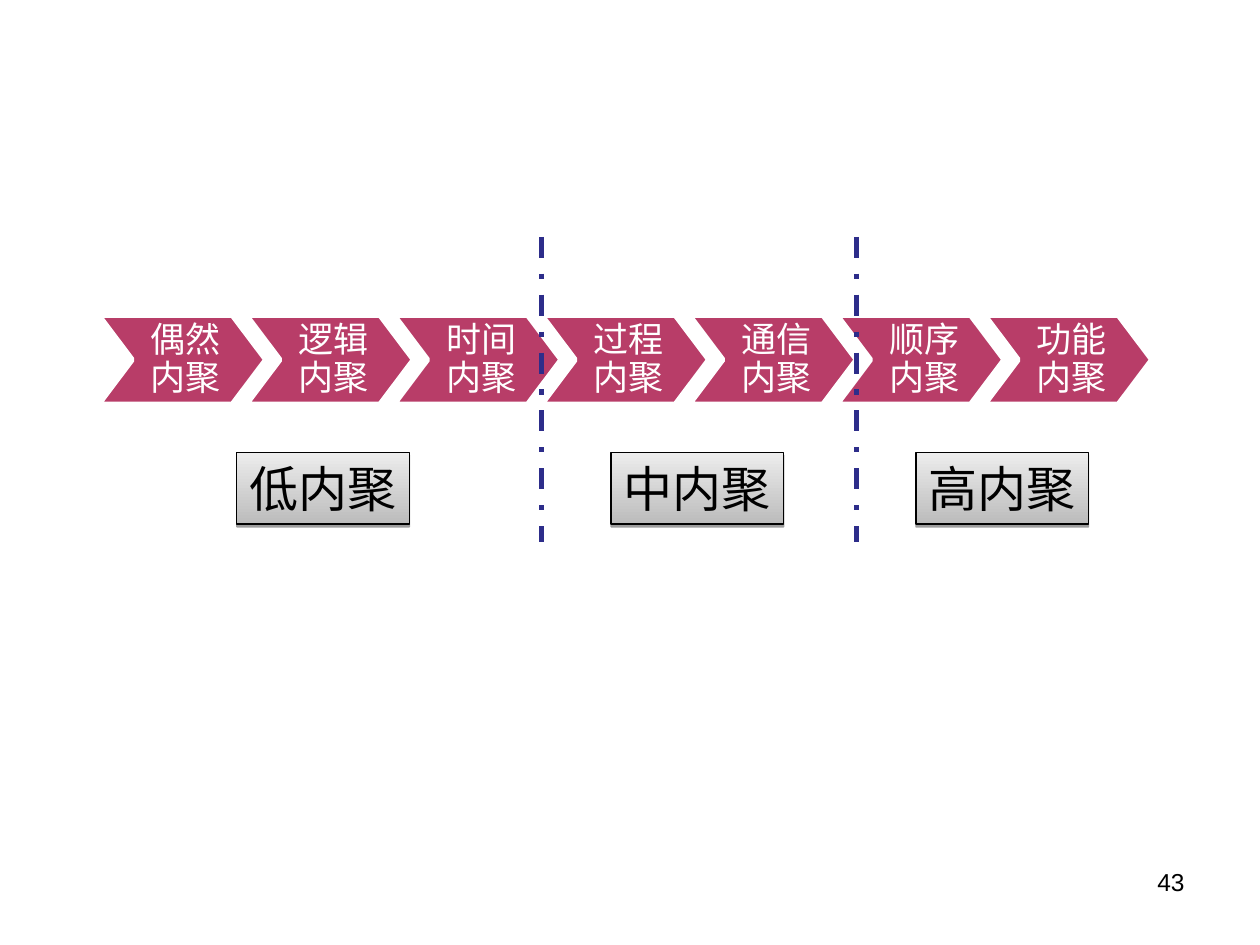
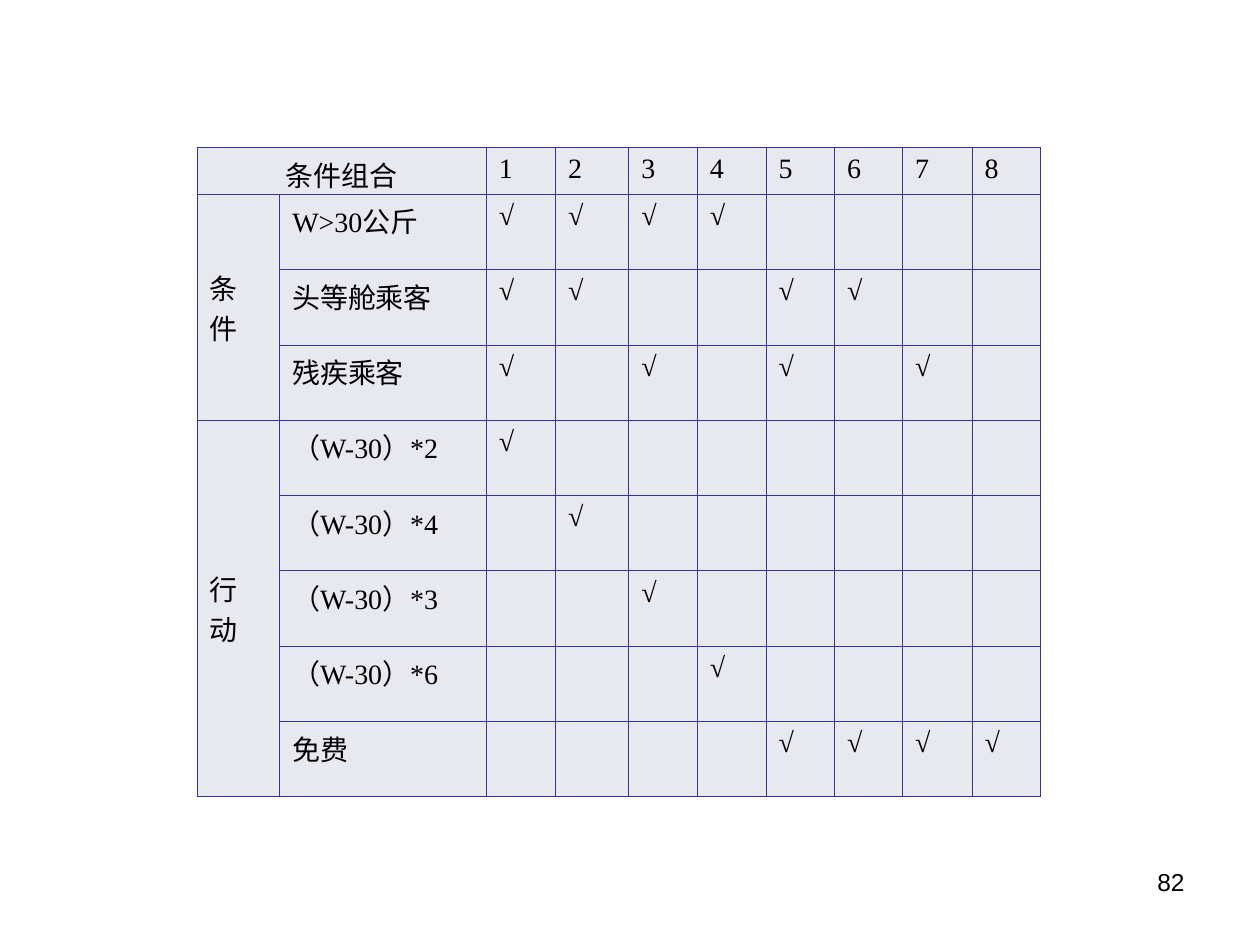
from typing import NamedTuple

from lxml.etree import SubElement as Sub
from pptx import Presentation
from pptx.dml.color import RGBColor
from pptx.enum.dml import MSO_LINE_DASH_STYLE as Dash
from pptx.enum.shapes import MSO_CONNECTOR as Link, MSO_SHAPE as Kind
from pptx.enum.text import MSO_ANCHOR as Anchor, MSO_AUTO_SIZE as Fit, PP_ALIGN as Align
from pptx.oxml.ns import qn
from pptx.util import Inches, Pt

BLACK = RGBColor(0x00, 0x00, 0x00)
WHITE = RGBColor(0xFF, 0xFF, 0xFF)
ROSE = RGBColor(0xB8, 0x3D, 0x68)
NAVY = RGBColor(0x2D, 0x2D, 0x8A)
RULE = RGBColor(0x33, 0x33, 0x99)
MIST = RGBColor(0xE8, 0xE8, 0xEF)
DARK = RGBColor(0xBC, 0xBC, 0xBC)
PALE = RGBColor(0xED, 0xED, 0xED)

SANS, SERIF, KARLA = "Arial", "Times New Roman", "Karla"
COLS, ROWS = 100, 75
UNIT = Inches(0.1)


class Box(NamedTuple):
    """Left, top, width and height in grid units."""
    x: float
    y: float
    w: float
    h: float

    def emu(self) -> list[int]:
        return [grid(v) for v in self]


class Type(NamedTuple):
    font: str
    size: int
    color: RGBColor = BLACK


class Level(NamedTuple):
    text: str
    x: float


class Rule(NamedTuple):
    """A row of the decision table and the combinations it is ticked for."""
    name: str
    ticks: str


PAGE = Type(SANS, 14)
STEP = Type(KARLA, 20, WHITE)
LABEL = Type(SERIF, 28)
CELL = Type(SERIF, 16)

STEPS = ["偶然", "逻辑", "时间", "过程", "通信", "顺序", "功能"]
FIRST = Box(7.81, 25, 13.3, 7.1)
PITCH, TIP = 11.72, 2.67
LEVELS = [Level("低内聚", 18.8), Level("中内聚", 48.5), Level("高内聚", 72.7)]
SPLITS = [43, 68]

COMBOS = "12345678"
GROUPS = {
    "条\n件": [
        Rule("W>30公斤", "1234"),
        Rule("头等舱乘客", "1256"),
        Rule("残疾乘客", "1357"),
    ],
    "行\n动": [
        Rule("（W-30）*2", "1"),
        Rule("（W-30）*4", "2"),
        Rule("（W-30）*3", "3"),
        Rule("（W-30）*6", "4"),
        Rule("免费", "5678"),
    ],
}
WIDTHS = [6.55, 16.4, 5.5, 5.8, 5.45, 5.45, 5.45, 5.4, 5.5, 5.4]
HEAD, BODY = 3.72, 5.98


def grid(n: float) -> int:
    return round(n * UNIT)


def write(frame, text: str, kind: Type, align=Align.LEFT) -> None:
    frame.text = text
    for para in frame.paragraphs:
        para.alignment = align
        for run in para.runs:
            run.font.name, run.font.size = kind.font, Pt(kind.size)
            run.font.color.rgb = kind.color


def new_slide(deck, page: int):
    slide = deck.slides.add_slide(deck.slide_layouts[6])
    box = slide.shapes.add_textbox(*Box(71.7, 68.3, 23.3, 5.2).emu())
    box.text_frame.word_wrap = True
    write(box.text_frame, str(page), PAGE, Align.RIGHT)
    return slide


def add_step(slide, n: int, name: str) -> None:
    spot = FIRST._replace(x=FIRST.x + n * PITCH)
    shape = slide.shapes.add_shape(Kind.CHEVRON, *spot.emu())
    shape.adjustments[0] = TIP / FIRST.h
    shape.shadow.inherit = False
    shape.fill.solid()
    shape.fill.fore_color.rgb = ROSE
    shape.line.color.rgb, shape.line.width = WHITE, Pt(3.15)
    frame = shape.text_frame
    frame.vertical_anchor = Anchor.MIDDLE
    frame.margin_left = Inches(0.09)
    frame.margin_right = frame.margin_top = frame.margin_bottom = Inches(0.03)
    write(frame, f"{name}\v内聚", STEP, Align.CENTER)
    para = frame.paragraphs[0]
    para.line_spacing, para.space_after = 0.9, Pt(8.8)


def add_split(slide, x: float) -> None:
    line = slide.shapes.add_connector(
        Link.STRAIGHT, grid(x), grid(18.8), grid(x), grid(43))
    line.line.color.rgb, line.line.width = NAVY, Pt(3)
    line.line.dash_style = Dash.DASH_DOT
    Sub(line._element.spPr, qn("a:effectLst"))


def drop_shadow(shape) -> None:
    shape.shadow.inherit = False
    effects = shape._element.spPr.find(qn("a:effectLst"))
    outer = Sub(effects, qn("a:outerShdw"), blurRad="0", dist=str(Pt(1.6)),
                dir="5400000", rotWithShape="0")
    color = Sub(outer, qn("a:srgbClr"), val=str(BLACK))
    Sub(color, qn("a:alpha"), val="38000")


def add_level(slide, level: Level) -> None:
    shape = slide.shapes.add_shape(Kind.RECTANGLE, *Box(level.x, 35.9, 13.7, 5.7).emu())
    shape.fill.gradient()
    shape.fill.gradient_angle = 90
    for stop, color, place in zip(shape.fill.gradient_stops, (DARK, PALE), (0, 1)):
        stop.color.rgb, stop.position = color, place
    shape.line.color.rgb, shape.line.width = BLACK, Pt(0.75)
    drop_shadow(shape)
    frame = shape.text_frame
    frame.word_wrap, frame.auto_size = False, Fit.NONE
    frame.vertical_anchor = Anchor.TOP
    frame.margin_right = Inches(0.07)
    write(frame, level.text, LABEL)


def style_cell(cell) -> None:
    props = cell._tc.get_or_add_tcPr()
    for side in ("lnL", "lnR", "lnT", "lnB"):
        edge = Sub(props, qn(f"a:{side}"), w=str(Pt(0.45)))
        Sub(Sub(edge, qn("a:solidFill")), qn("a:srgbClr"), val=str(RULE))
    cell.fill.solid()
    cell.fill.fore_color.rgb = MIST


def add_rules(slide) -> None:
    count = sum(len(rules) for rules in GROUPS.values())
    place = Box(15.65, 11.7, sum(WIDTHS), HEAD + count * BODY)
    table = slide.shapes.add_table(count + 1, len(WIDTHS), *place.emu()).table
    table.first_row = table.horz_banding = False
    for col, width in zip(table.columns, WIDTHS):
        col.width = grid(width)
    for n, row in enumerate(table.rows):
        row.height = grid(BODY if n else HEAD)
    for cell in table.iter_cells():
        style_cell(cell)

    table.cell(0, 0).merge(table.cell(0, 1))
    write(table.cell(0, 0).text_frame, "条件组合", CELL, Align.CENTER)
    for n, combo in enumerate(COMBOS, 2):
        write(table.cell(0, n).text_frame, combo, CELL)
    top = 1
    for group, rules in GROUPS.items():
        head = table.cell(top, 0)
        head.merge(table.cell(top + len(rules) - 1, 0))
        head.vertical_anchor = Anchor.MIDDLE
        write(head.text_frame, group, CELL)
        for row, rule in enumerate(rules, top):
            write(table.cell(row, 1).text_frame, rule.name, CELL)
            for tick in rule.ticks:
                col = COMBOS.index(tick) + 2
                write(table.cell(row, col).text_frame, "√", CELL)
        top += len(rules)


def main() -> None:
    deck = Presentation()
    deck.slide_width, deck.slide_height = grid(COLS), grid(ROWS)

    scale = new_slide(deck, 43)
    for n, name in enumerate(STEPS):
        add_step(scale, n, name)
    for x in SPLITS:
        add_split(scale, x)
    for level in LEVELS:
        add_level(scale, level)

    add_rules(new_slide(deck, 82))
    deck.save("out.pptx")


if __name__ == "__main__":
    main()
